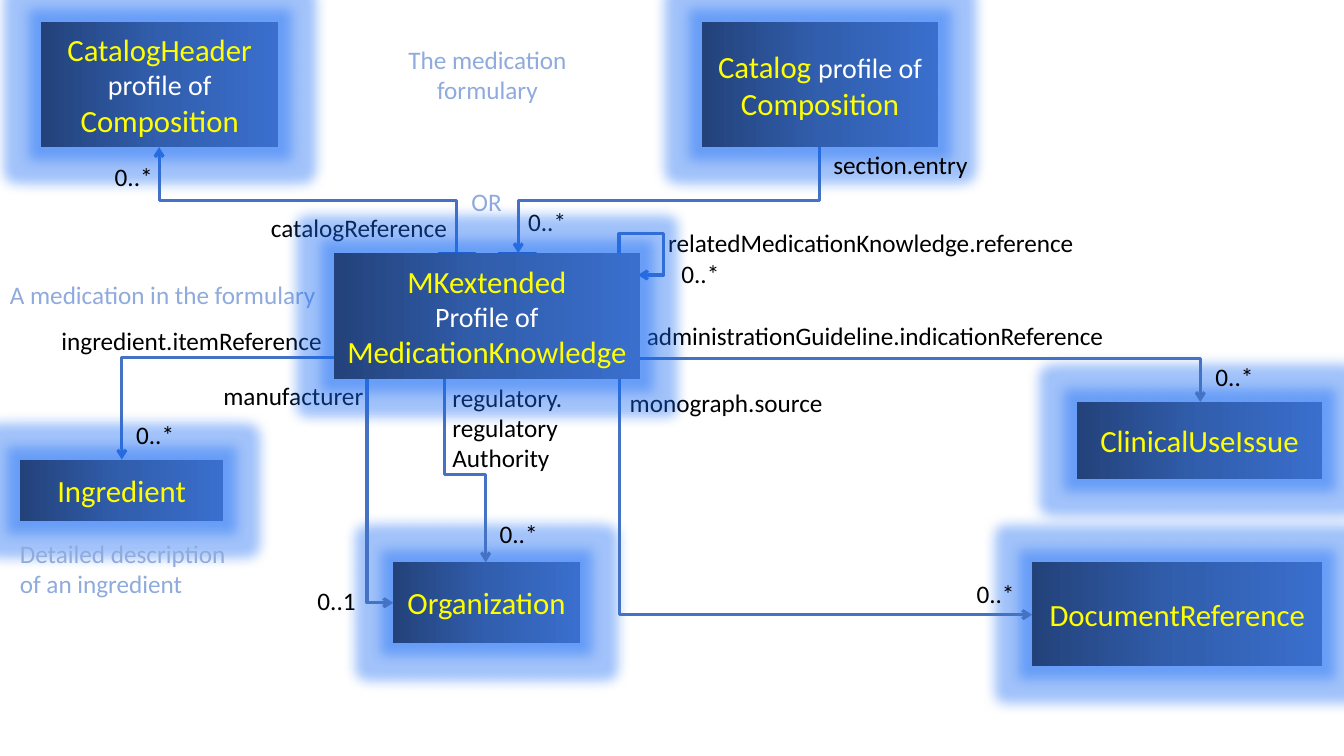
from copy import deepcopy
from lxml.etree import SubElement as Sub
from pptx import Presentation
from pptx.dml.color import RGBColor as Rgb
from pptx.enum.shapes import MSO_CONNECTOR as Conn, MSO_SHAPE as Form
from pptx.enum.text import MSO_ANCHOR as Anchor, PP_ALIGN as Align
from pptx.oxml.ns import qn
from pptx.util import Cm, Pt

HUES = {"name": "FFFF00", "plain": "FFFFFF", "label": "000000", "note": "8FAADC",
        "line": "4472C4", "edge": "325491", "glow": "1468F4"}
FADE = {0: "23427A", 0.5: "315EAD", 1: "3A6FCE"}
SIZES = {"name": 22, "plain": 20, "label": 18, "note": 18}
TURNS = {"right": 0, "down": 90, "left": 180, "up": 270}


class Board:
    def __init__(self, deck):
        self.slide = deck.slides.add_slide(deck.slide_layouts[6])
        self.shapes = self.slide.shapes

    def fill_text(self, frame, paras, align):
        """Fill a frame with paragraphs, each a list of (text, style) runs."""
        frame.word_wrap = True
        for i, runs in enumerate(paras):
            para = frame.paragraphs[0] if i == 0 else frame.add_paragraph()
            para.alignment = align
            for text, style in runs:
                run = para.add_run()
                run.text = text
                form = {"name": "Calibri", "size": Pt(SIZES[style])}
                for key, value in form.items():
                    setattr(run.font, key, value)
                run.font.color.rgb = Rgb.from_string(HUES[style])

    def rect(self, x, y, w, h):
        shape = self.shapes.add_shape(Form.RECTANGLE, Cm(x), Cm(y), Cm(w), Cm(h))
        shape.shadow.inherit = False
        return shape

    def box(self, x, y, w, h, *paras):
        """Glowing box with a three-stop fade."""
        shape = self.rect(x, y, w, h)
        shape.line.fill.background()
        fill = shape.fill
        fill.gradient()
        fill.gradient_angle = 0
        props = shape._element.spPr
        stops = props.find(".//" + qn("a:gsLst"))
        stops.append(deepcopy(stops[-1]))
        for stop, (pos, hue) in zip(fill.gradient_stops, FADE.items()):
            stop.position = pos
            stop.color.rgb = Rgb.from_string(hue)
        glow = Sub(props.find(qn("a:effectLst")), qn("a:glow"), rad=str(Pt(18)))
        tint = Sub(glow, qn("a:srgbClr"), val=HUES["glow"])
        Sub(tint, qn("a:alpha"), val="40000")
        shape.text_frame.vertical_anchor = Anchor.MIDDLE
        self.fill_text(shape.text_frame, paras, Align.CENTER)

    def tab(self, x, y, w, h):
        """Small plain block on the edge of a box."""
        shape = self.rect(x, y, w, h)
        shape.fill.solid()
        shape.fill.fore_color.rgb = Rgb.from_string(HUES["line"])
        shape.line.color.rgb = Rgb.from_string(HUES["edge"])
        shape.line.width = Pt(1)

    def label(self, x, y, w, *lines, style="label", align=Align.LEFT, h=1.02):
        area = self.shapes.add_textbox(Cm(x), Cm(y), Cm(w), Cm(h))
        self.fill_text(area.text_frame, [[(line, style)] for line in lines], align)

    def link(self, x1, y1, x2, y2, way, *bends):
        """Elbow arrow that sets out in direction way; bends are its adjusts."""
        dx, dy = x2 - x1, y2 - y1
        # Travel along the first leg, then to its right-hand side
        along, side = {"right": (dx, dy), "down": (dy, -dx),
                       "left": (-dx, -dy), "up": (-dy, dx)}[way]
        w, h = abs(along), abs(side)
        x, y = (x1 + x2 - w) / 2, (y1 + y2 - h) / 2
        line = self.shapes.add_connector(Conn.ELBOW, Cm(x), Cm(y), Cm(x + w), Cm(y + h))
        line.line.color.rgb = Rgb.from_string(HUES["line"])
        line.line.width = Pt(2.25)
        props = line._element.spPr
        marks = {"rot": TURNS[way] * 60000, "flipH": int(along < 0), "flipV": int(side < 0)}
        for key, value in marks.items():
            props.xfrm.set(key, str(value))
        geom = props.find(qn("a:prstGeom"))
        geom.set("prst", f"bentConnector{2 + len(bends)}")
        guides = geom.find(qn("a:avLst"))
        for i, bend in enumerate(bends, 1):
            Sub(guides, qn("a:gd"), name=f"adj{i}", fmla=f"val {round(bend * 100000)}")
        Sub(props.find(qn("a:ln")), qn("a:tailEnd"), type="arrow")
        Sub(props, qn("a:effectLst"))


deck = Presentation()
deck.slide_width, deck.slide_height = Cm(33.87), Cm(19.05)
board = Board(deck)

# Links that lie under the boxes
board.link(11.51, 6.38, 4.01, 3.71, "up", 0.5)
board.link(8.48, 9.02, 3.07, 11.58, "left")
for x in (11.05, 12.57):
    board.tab(x, 6.38, 0.94, 0.56)
board.link(20.65, 3.71, 13.06, 6.38, "down", 0.5)
board.link(15.6, 6.5, 16.08, 6.93, "up", -1.41, 2.34)

# Outer boxes
for x, title in ((1.04, "CatalogHeader "), (17.68, "Catalog ")):
    board.box(x, 0.56, 5.97, 3.15,
              [(title, "name"), ("profile of ", "plain"), ("Composition", "name")])
for x, y, w, h, title in (
        (0.51, 11.58, 5.11, 1.55, "Ingredient"),
        (27.13, 10.13, 6.2, 1.93, "ClinicalUseIssue"),
        (26.01, 14.17, 7.32, 2.62, "DocumentReference"),
        (9.91, 14.17, 4.7, 2.03, "Organization")):
    board.box(x, y, w, h, [(title, "name")])

# Links that lie over the boxes
board.link(16.1, 9.04, 30.25, 10.13, "right")
board.link(15.62, 9.47, 26.01, 15.49, "down")
board.link(9.25, 9.47, 9.91, 15.19, "down")
board.link(11.2, 9.47, 12.24, 14.17, "down", 0.53)

# Link names
for x, y, w, text in (
        (6.58, 5.23, 5.21, "catalogReference"),
        (16.59, 5.61, 11.66, "relatedMedicationKnowledge.reference"),
        (1.3, 8.08, 7.29, "ingredient.itemReference"),
        (20.75, 3.63, 4.09, "section.entry"),
        (16.05, 7.95, 12.75, "administrationGuideline.indicationReference"),
        (15.62, 9.63, 5.92, "monograph.source"),
        (5.38, 9.47, 4.29, "manufacturer")):
    board.label(x, y, w, text)
board.label(11.15, 9.5, 3.35, "regulatory.regulatory", "Authority", h=2.57)

# Counts
for x, y in ((2.64, 3.94), (3.18, 10.44), (13.06, 5.08), (16.92, 6.38),
             (30.38, 8.97), (24.36, 14.45), (12.34, 12.93)):
    board.label(x, y, 1.68, "0..*")
board.label(7.75, 14.63, 1.6, "0..1")

# Notes
board.label(9.73, 0.99, 5.11, "The medication formulary",
            style="note", align=Align.CENTER, h=1.8)
board.label(0, 6.91, 8.41, "A medication in the formulary", style="note")
board.label(0.25, 13.44, 5.97, "Detailed description of an ingredient", style="note", h=1.8)
board.label(11.63, 4.57, 1.3, "OR", style="note")

# Central box
board.box(8.41, 6.38, 7.72, 3.18, [("MKextended", "name")],
          [("Profile of ", "plain"), ("MedicationKnowledge", "name")])

deck.save("out.pptx")
